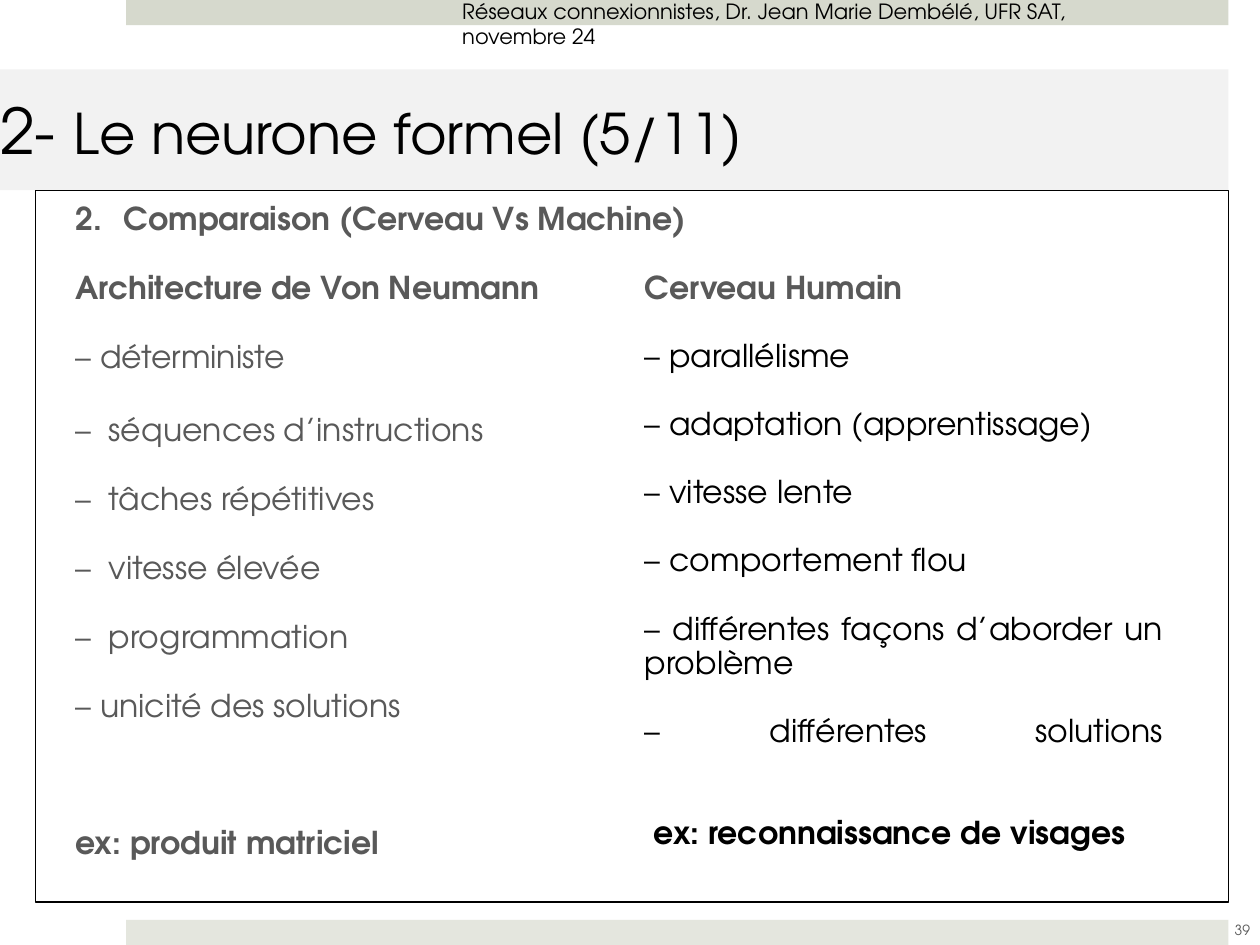
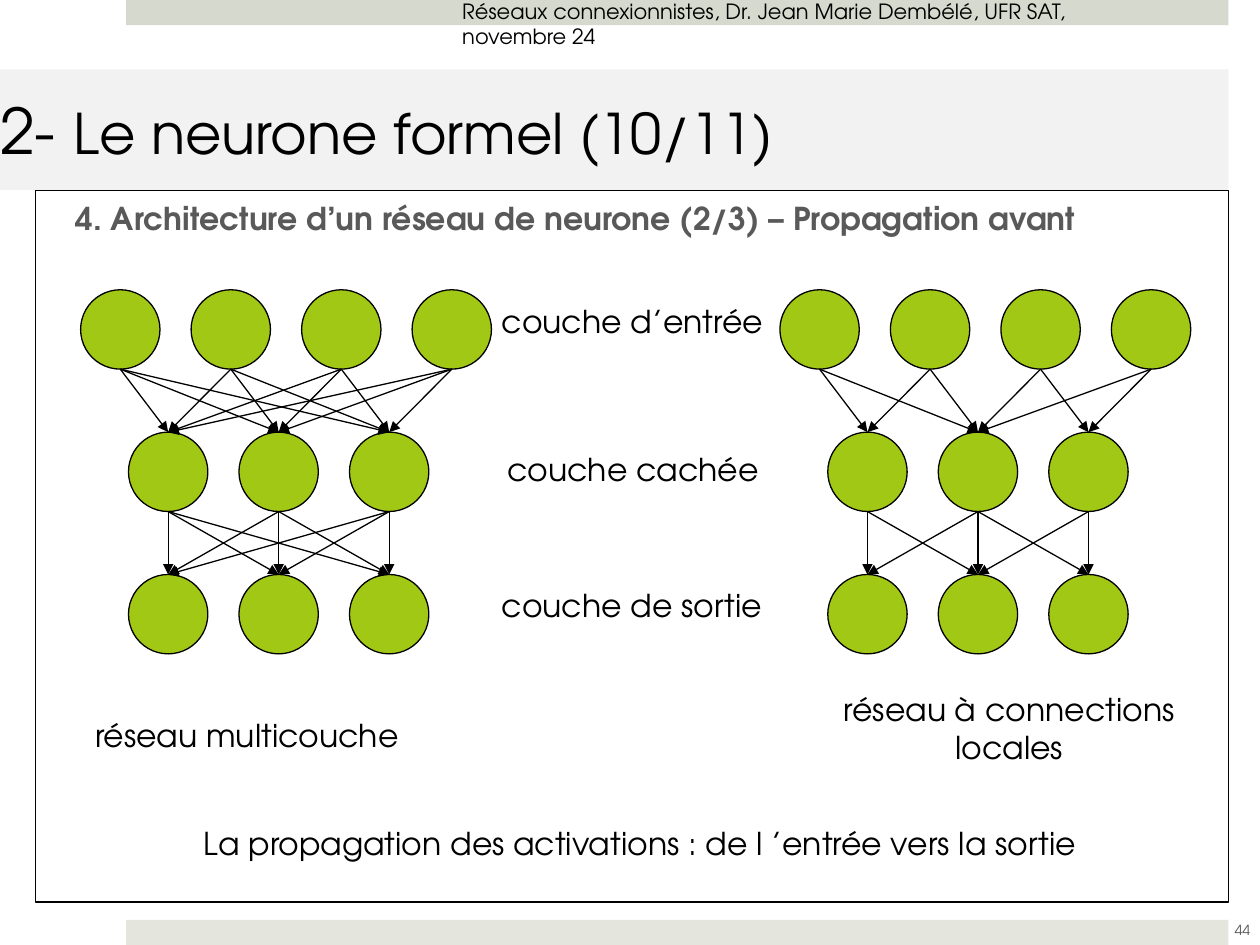
from dataclasses import dataclass

from lxml import etree
from pptx import Presentation
from pptx import util as u
from pptx.dml.color import RGBColor
from pptx.enum import shapes, text
from pptx.oxml import ns


@dataclass(frozen=True)
class Theme:
    """Colours, font and type sizes of the deck."""
    face: str = "TeX Gyre Adventor"
    ink: str = "000000"
    muted: str = "595959"
    top_band: str = "D6D9CD"
    bottom_band: str = "E4E6DE"
    title_band: str = "F2F2F2"
    neuron: str = "A2C816"
    hairline: float = 0.75
    chapter_size: int = 36
    title_size: int = 32
    body_size: int = 18
    header_size: int = 12
    number_size: int = 8
    tight: float = 0.9
    paragraph_gap: int = 20
    column_gap: float = 19.5


THEME = Theme()
COLUMNS, ROWS = 100, 75
HEADER = "Réseaux connexionnistes, Dr. Jean Marie Dembélé, UFR SAT, novembre 24"
MACHINE_TRAITS = ["– déterministe", "–  séquences d’instructions", "–  tâches répétitives",
                  "–  vitesse élevée", "–  programmation", "– unicité des solutions"]
BRAIN_TRAITS = ["– parallélisme", "– adaptation (apprentissage)", "– vitesse lente",
                "– comportement flou", "– différentes façons d’aborder un problème",
                "– différentes solutions\n"]
LAYER_NAMES = [((37.3, 23.5, 25.8, 5), "couche d’entrée"),
               ((38, 35.2, 24.5, 5), "couche cachée"),
               ((36.9, 46, 26.5, 5), "couche de sortie")]
LAYERS = [(0, 4), (3.8, 3), (3.8, 3)]
DIAMETER, NEURON_STEP, LAYER_STEP = 6.3, 8.77, 11.3


def cells(*counts):
    """Turn grid cells of a tenth of an inch into lengths."""
    return [u.Inches(count / 10) for count in counts]


def rgb(colour):
    """Return a colour object for a hex value."""
    return RGBColor.from_string(colour)


def write(frame, words, size=THEME.body_size, colour=THEME.ink, bold=False, align="LEFT",
          leading=1.0, before=0, hanging=0, number=None, same_line=False):
    """Add formatted words to a frame, in a new paragraph unless told otherwise."""
    paragraph = frame.paragraphs[-1]
    if paragraph.runs and not same_line:
        paragraph = frame.add_paragraph()
    if not same_line:
        paragraph.alignment = getattr(text.PP_ALIGN, align)
        paragraph.line_spacing = leading
        paragraph.space_before = u.Pt(before)
        properties = paragraph._p.get_or_add_pPr()
        if hanging:
            indent = cells(hanging)[0]
            properties.set("marL", str(indent))
            properties.set("indent", str(-indent))
        if number:
            etree.SubElement(properties, ns.qn("a:buAutoNum"),
                             type="arabicPeriod", startAt=str(number))
    for index, line in enumerate(words.split("\n")):
        if index:
            paragraph.add_line_break()
        if line:
            run = paragraph.add_run()
            run.text = line
            run.font.name, run.font.size, run.font.bold = THEME.face, u.Pt(size), bold
            run.font.color.rgb = rgb(colour)


def frame_of(shape, insets=(1, 0.5, 1, 0.5), anchor="TOP"):
    """Prepare and return the text frame of a shape."""
    frame = shape.text_frame
    frame.word_wrap = True
    frame.auto_size = text.MSO_AUTO_SIZE.NONE
    frame.vertical_anchor = getattr(text.MSO_ANCHOR, anchor)
    (frame.margin_left, frame.margin_top,
     frame.margin_right, frame.margin_bottom) = cells(*insets)
    return frame


def label(slide, box, words, anchor="TOP", **style):
    """Add a single-paragraph text box."""
    write(frame_of(slide.shapes.add_textbox(*cells(*box)), anchor=anchor), words, **style)


def preset(parent, kind, box, fill, outline=None):
    """Add a filled preset shape with an optional outline."""
    shape = parent.shapes.add_shape(kind, *cells(*box))
    shape.shadow.inherit = False
    shape.fill.solid()
    shape.fill.fore_color.rgb = rgb(fill)
    if outline:
        shape.line.color.rgb = rgb(outline)
        shape.line.width = u.Pt(THEME.hairline)
    else:
        shape.line.fill.background()


def arrow(parent, start, end):
    """Add a thin straight arrow."""
    link = parent.shapes.add_connector(shapes.MSO_CONNECTOR.STRAIGHT, *cells(*start, *end))
    link.line.color.rgb = rgb(THEME.ink)
    link.line.width = u.Pt(THEME.hairline)
    etree.SubElement(link.line._get_or_add_ln(), ns.qn("a:tailEnd"), type="triangle")
    etree.SubElement(link._element.spPr, ns.qn("a:effectLst"))


def place(placeholder, box):
    """Move a placeholder onto the grid."""
    (placeholder.left, placeholder.top,
     placeholder.width, placeholder.height) = cells(*box)


def course_slide(deck, step, page):
    """Add a slide with the shared parts and return it with its body frame."""
    slide = deck.slides.add_slide(deck.slide_layouts[0])
    title, body = slide.placeholders
    rectangle = shapes.MSO_SHAPE.RECTANGLE
    preset(slide, rectangle, (10, 0, 87.5, 2), THEME.top_band)
    preset(slide, rectangle, (10, 73, 87.5, 2), THEME.bottom_band)
    place(title, (0, 5.5, 97.5, 9.6))
    title.fill.solid()
    title.fill.fore_color.rgb = rgb(THEME.title_band)
    heading = frame_of(title, (0, 0.5, 3, 0.5), "MIDDLE")
    write(heading, "2- ", size=THEME.chapter_size)
    write(heading, f"Le neurone formel ({step}/11)", size=THEME.title_size, same_line=True)
    place(body, (2.8, 15.1, 94.7, 56.5))
    body.line.color.rgb = rgb(THEME.ink)
    body.line.width = u.Pt(THEME.hairline)
    label(slide, (96.1, 71.8, 5, 4), str(page), anchor="MIDDLE", align="CENTER",
          size=THEME.number_size, colour=THEME.muted)
    label(slide, (35.7, -0.6, 57.5, 3), HEADER, size=THEME.header_size)
    return slide, frame_of(body, (3.2, 1, 3, 1))


def network(slide, left, top, linked):
    """Draw layers of neurons, with arrows where linked(layer, source, target) holds."""
    group = slide.shapes.add_group_shape()
    spots = [[(left + shift + NEURON_STEP * i, top + LAYER_STEP * row) for i in range(count)]
             for row, (shift, count) in enumerate(LAYERS)]
    for layer in spots:
        for x, y in layer:
            preset(group, shapes.MSO_SHAPE.OVAL, (x, y, DIAMETER, DIAMETER),
                   THEME.neuron, THEME.ink)
    radius = DIAMETER / 2
    for row, (sources, targets) in enumerate(zip(spots, spots[1:])):
        for i, (x, y) in enumerate(sources):
            for j, (target_x, target_y) in enumerate(targets):
                if linked(row, i, j):
                    arrow(group, (x + radius, y + DIAMETER), (target_x + radius, target_y))


def all_linked(layer, source, target):
    """Link every neuron to the whole next layer."""
    return True


def locally_linked(layer, source, target):
    """Link each neuron to its neighbours in the next layer."""
    if layer == 0:
        return target - source // 2 in (0, 1)
    return abs(source - target) <= 1


def comparison_slide(deck):
    """Compare the machine with the brain in two columns."""
    slide, machine = course_slide(deck, 5, 39)
    base = dict(align="JUSTIFY", colour=THEME.muted, hanging=3.8)
    spaced = dict(base, leading=THEME.tight, before=THEME.paragraph_gap)
    write(machine, "Comparaison (Cerveau Vs Machine)", bold=True, number=2,
          leading=THEME.tight, **base)
    write(machine, "Architecture de Von Neumann", bold=True, **spaced)
    for trait in MACHINE_TRAITS:
        loose = {"leading": 1.0} if "séquences" in trait else {}
        write(machine, trait, **{**spaced, **loose})
    write(machine, "ex: produit matriciel", bold=True,
          **{**spaced, "before": THEME.paragraph_gap + 2 * THEME.column_gap})

    brain = frame_of(slide.shapes.add_textbox(*cells(50.2, 21.1, 43.1, 52.9)))
    column = dict(align="JUSTIFY", leading=THEME.tight)
    write(brain, "Cerveau Humain", bold=True, colour=THEME.muted, **column)
    for trait in BRAIN_TRAITS:
        write(brain, trait, before=THEME.column_gap, **column)
    write(brain, " ex: reconnaissance de visages", bold=True,
          before=THEME.column_gap, **column)


def architecture_slide(deck):
    """Show a fully linked and a locally linked network."""
    slide, heading = course_slide(deck, 10, 44)
    write(heading, "4. Architecture d’un réseau de neurone (2/3) – Propagation avant",
          bold=True, colour=THEME.muted, align="JUSTIFY", leading=THEME.tight)
    network(slide, 6.4, 23, all_linked)
    network(slide, 61.9, 23, locally_linked)
    for box, name in LAYER_NAMES:
        label(slide, box, name, align="CENTER")
    label(slide, (1.7, 56.3, 35.8, 5), "réseau multicouche", align="CENTER")
    label(slide, (61.4, 54.3, 37.4, 9), "réseau à connections locales", align="CENTER")
    label(slide, (15.2, 64.9, 72.1, 4),
          "La propagation des activations : de l ’entrée vers la sortie")


def main():
    """Build and save the deck."""
    deck = Presentation()
    deck.slide_width, deck.slide_height = cells(COLUMNS, ROWS)
    comparison_slide(deck)
    architecture_slide(deck)
    deck.save("out.pptx")


if __name__ == "__main__":
    main()
